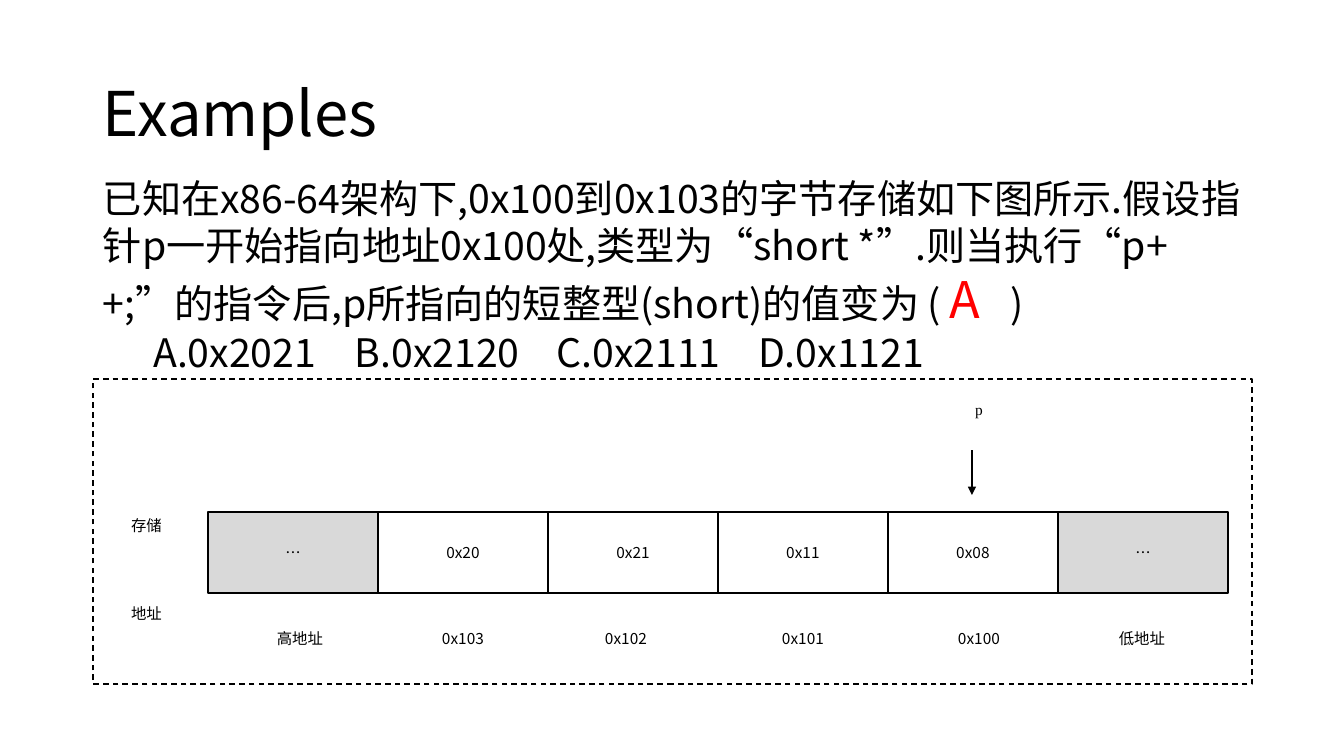
from lxml import etree
from pptx import Presentation
from pptx.dml.color import RGBColor
from pptx.enum.dml import MSO_LINE
from pptx.enum.shapes import MSO_CONNECTOR, MSO_SHAPE
from pptx.enum.text import MSO_ANCHOR, PP_ALIGN
from pptx.oxml.ns import qn
from pptx.util import Emu, Pt

PX = 914400 / 100.8
SANS, SERIF = "Noto Sans CJK SC", "Times New Roman"
BLACK, RED, WHITE, GREY = "000000", "FF0000", "FFFFFF", "D9D9D9"
RECTANGLE, STRAIGHT, DASH = MSO_SHAPE.RECTANGLE, MSO_CONNECTOR.STRAIGHT, MSO_LINE.DASH
CENTER, MIDDLE = PP_ALIGN.CENTER, MSO_ANCHOR.MIDDLE


def add_run(paragraph, text, size, color=BLACK, font=SANS):
    """Add a run whose Latin and East Asian fonts are the same."""
    run = paragraph.add_run()
    run.text = text
    run.font.size = Pt(size)
    run.font.name = font
    run.font.color.rgb = RGBColor.from_string(color)
    properties = run.font._element
    properties.set("lang", "zh-CN")
    etree.SubElement(properties, qn("a:ea"), typeface=font)


def add_box(left, top, width, height, fill=None, line=None, text="", font=SANS):
    """Add a rectangle with a small centred label."""
    box = slide.shapes.add_shape(
        RECTANGLE, *[Emu(round(v * PX)) for v in (left, top, width, height)])
    box.shadow.inherit = False
    if fill:
        box.fill.solid()
        box.fill.fore_color.rgb = RGBColor.from_string(fill)
    else:
        box.fill.background()
    if line:
        box.line.color.rgb = RGBColor.from_string(line)
        box.line.width = Pt(1)
    else:
        box.line.fill.background()
    if text:
        box.text_frame.vertical_anchor = MIDDLE
        paragraph = box.text_frame.paragraphs[0]
        paragraph.alignment = CENTER
        add_run(paragraph, text, 11, font=font)
    return box


presentation = Presentation()
presentation.slide_width = Emu(round(1344 * PX))
presentation.slide_height = Emu(round(756 * PX))
slide = presentation.slides.add_slide(presentation.slide_layouts[6])

# Title and question
title = slide.shapes.add_textbox(*[Emu(round(v * PX)) for v in (93, 43, 1159, 146)])
title.text_frame.word_wrap = True
title.text_frame.vertical_anchor = MIDDLE
paragraph = title.text_frame.paragraphs[0]
paragraph.line_spacing = 0.9
add_run(paragraph, "Examples", 44)

question = slide.shapes.add_textbox(*[Emu(round(v * PX)) for v in (93, 169, 1159, 214)])
question.text_frame.word_wrap = True
paragraph = question.text_frame.paragraphs[0]
add_run(paragraph, "已知在x86-64架构下,0x100到0x103的字节存储如下图所示."
        "假设指针p一开始指向地址0x100处,类型为“short *”."
        "则当执行“p++;”的指令后,p所指向的短整型(short)的值变为 ( ", 28)
add_run(paragraph, "A", 36, RED)
add_run(paragraph, "\t)", 28)
add_run(question.text_frame.add_paragraph(),
        "\tA.0x2021\tB.0x2120\tC.0x2111\tD.0x1121", 28)

# Memory cells, from high to low address
CELL_LEFT, CELL_WIDTH, CELL_HEIGHT = 208, 170, 81
for column, value in enumerate(["…", "0x20", "0x21", "0x11", "0x08", "…"]):
    add_box(CELL_LEFT + column * CELL_WIDTH, 512, CELL_WIDTH, CELL_HEIGHT,
            GREY if value == "…" else WHITE, BLACK, value)

addresses = [(215, "高地址"), (378, "0x103"), (541, "0x102"),
             (718, "0x101"), (894, "0x100"), (1057, "低地址")]
for left, address in addresses:
    add_box(left, 598, CELL_WIDTH, CELL_HEIGHT, WHITE, text=address)

for top, caption in [(511, "存储"), (599, "地址")]:
    label = slide.shapes.add_textbox(*[Emu(round(v * PX)) for v in (116, top, 61, 43)])
    paragraph = label.text_frame.paragraphs[0]
    paragraph.alignment = CENTER
    add_run(paragraph, caption, 11)

# Pointer p
arrow = slide.shapes.add_connector(
    STRAIGHT, *[Emu(round(v * PX)) for v in (972, 416, 972, 495)])
arrow.line.color.rgb = RGBColor.from_string(BLACK)
arrow.line.width = Pt(1)
etree.SubElement(arrow.line._get_or_add_ln(), qn("a:tailEnd"), type="triangle")
etree.SubElement(arrow._element.spPr, qn("a:effectLst"))
add_box(894, 369, CELL_WIDTH, CELL_HEIGHT, WHITE, text="p", font=SERIF)

frame = add_box(93, 379, 1159, 305, line=BLACK)
frame.line.dash_style = DASH

presentation.save("out.pptx")
